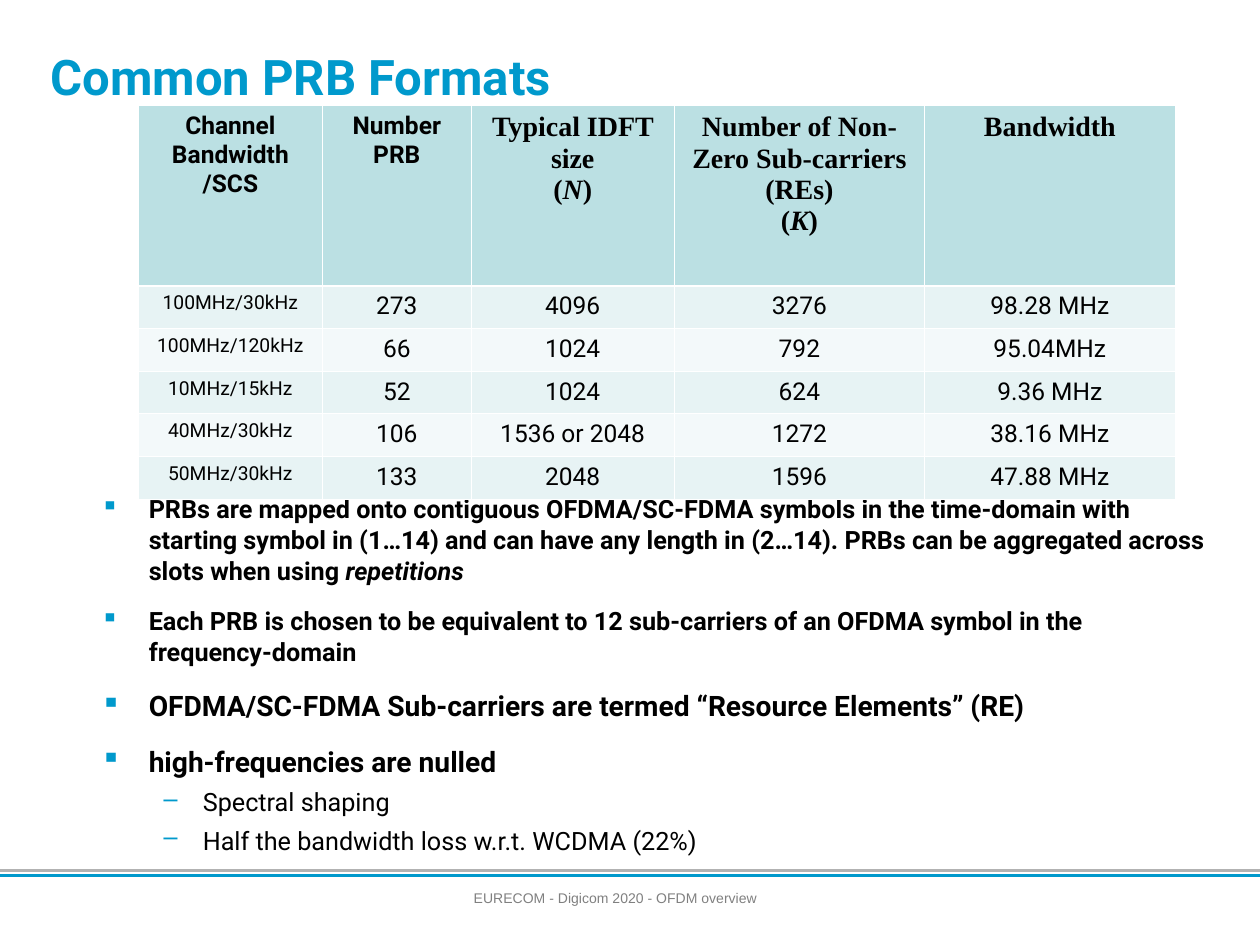
import pptx
import pptx.dml.color
import pptx.enum.shapes
import pptx.enum.text
import pptx.oxml
import pptx.oxml.ns
import pptx.util
from lxml import etree
from pptx.util import Cm

COLORS = {
    "accent": "0099CC", "rule": "B2B2B2", "footer": "808080", "text": "000000",
    "header": "BBE0E3", "odd": "E7F3F4", "even": "F3F9FA", "border": "FFFFFF",
}
ALIGN = pptx.enum.text.PP_ALIGN
ANCHOR = pptx.enum.text.MSO_ANCHOR

# Text between asterisks is italic
HEADERS = [
    ("Channel Bandwidth /SCS", "Roboto", 14),
    ("Number PRB", "Roboto", 14),
    ("Typical IDFT size\n(*N*)", "Times New Roman", 16),
    ("Number of Non-Zero Sub-carriers (REs)\n(*K*)", "Times New Roman", 16),
    ("Bandwidth", "Times New Roman", 16),
]
ROWS = [
    ("100MHz/30kHz", "273", "4096", "3276", "98.28 MHz"),
    ("100MHz/120kHz", "66", "1024", "792", "95.04MHz"),
    ("10MHz/15kHz", "52", "1024", "624", "9.36 MHz"),
    ("40MHz/30kHz", "106", "1536 or 2048", "1272", "38.16 MHz"),
    ("50MHz/30kHz", "133", "2048", "1596", "47.88 MHz"),
]
COLUMN_WIDTHS = [3.71, 3, 4.09, 5.05, 5.05]

TOP = dict(bullet="▪", margin=0.97, indent=-0.97, bold=True, spacing=1.03)
SUB = dict(bullet="–", margin=2.06, indent=-0.79, level=1, spacing=1.03, size=14.4)
POINTS = [
    ("PRBs are mapped onto contiguous OFDMA/SC-FDMA symbols in the time-domain with "
     "starting symbol in (1…14) and can have any length in (2…14). PRBs can be "
     "aggregated across slots when using *repetitions*", dict(TOP, size=14.4)),
    ("Each PRB is chosen to be equivalent to 12 sub-carriers of an OFDMA symbol in the "
     "frequency-domain", dict(TOP, size=14.4, before=10.6)),
    ("OFDMA/SC-FDMA Sub-carriers are termed “Resource Elements” (RE)",
     dict(TOP, size=16.1, before=11.9)),
    ("high-frequencies are nulled", dict(TOP, size=16.1, before=11.9)),
    ("Spectral shaping", dict(SUB, before=4.2)),
    ("Half the bandwidth loss w.r.t. WCDMA (22%)", dict(SUB, before=4.2)),
]


def rgb(name):
    return pptx.dml.color.RGBColor.from_string(COLORS[name])


def add_bullet(para, bullet, margin, indent):
    properties = para._p.get_or_add_pPr()
    properties.set("marL", str(Cm(margin)))
    properties.set("indent", str(Cm(indent)))
    color = etree.SubElement(properties, pptx.oxml.ns.qn("a:buClr"))
    etree.SubElement(color, pptx.oxml.ns.qn("a:srgbClr"), val=COLORS["accent"])
    etree.SubElement(properties, pptx.oxml.ns.qn("a:buChar"), char=bullet)


def write_text(frame, text, first=True, size=14, font="Roboto", color="text", bold=False,
               align=ALIGN.LEFT, before=0, spacing=None, level=0,
               bullet=None, margin=0, indent=0):
    """Write each line of text as one paragraph, with *italic* spans."""
    for number, line in enumerate(text.split("\n")):
        para = frame.paragraphs[0] if first and number == 0 else frame.add_paragraph()
        para.alignment = align
        para.level = level
        if bullet:
            add_bullet(para, bullet, margin, indent)
        para.space_before = pptx.util.Pt(before)
        if spacing:
            para.line_spacing = spacing
        for index, part in enumerate(line.split("*")):
            if not part:
                continue
            span = para.add_run()
            span.text = part
            span.font.size = pptx.util.Pt(size)
            span.font.name = font
            span.font.bold = bold
            span.font.italic = index % 2 == 1
            span.font.color.rgb = rgb(color)


def add_box(page, left, top, width, height, anchor=ANCHOR.MIDDLE, inset=(0.23, 0.12)):
    box = page.shapes.add_textbox(Cm(left), Cm(top), Cm(width), Cm(height))
    frame = box.text_frame
    frame.word_wrap = True
    frame.vertical_anchor = anchor
    frame.margin_left = frame.margin_right = Cm(inset[0])
    frame.margin_top = frame.margin_bottom = Cm(inset[1])
    return frame


def add_rule(page, top, color):
    line = page.shapes.add_connector(
        pptx.enum.shapes.MSO_CONNECTOR.STRAIGHT, 0, Cm(top), Cm(25.4), Cm(top))
    line.line.color.rgb = rgb(color)
    line.line.width = pptx.util.Pt(1.5)
    etree.SubElement(line._element.spPr, pptx.oxml.ns.qn("a:effectLst"))


def style_cell(cell, fill, top=0.45, bottom=0.45):
    properties = cell._tc.get_or_add_tcPr()
    for side, width in (("L", 0.45), ("R", 0.45), ("T", top), ("B", bottom)):
        edge = etree.SubElement(properties, pptx.oxml.ns.qn("a:ln" + side),
                                w=str(pptx.util.Pt(width)))
        solid = etree.SubElement(edge, pptx.oxml.ns.qn("a:solidFill"))
        etree.SubElement(solid, pptx.oxml.ns.qn("a:srgbClr"), val=COLORS["border"])
    cell.fill.solid()
    cell.fill.fore_color.rgb = rgb(fill)


def add_format_table(page):
    table = page.shapes.add_table(len(ROWS) + 1, len(HEADERS), Cm(2.79), Cm(2.13),
                                  Cm(sum(COLUMN_WIDTHS)), Cm(7.95)).table
    for column, width in zip(table.columns, COLUMN_WIDTHS):
        column.width = Cm(width)
    for number, row in enumerate(table.rows):
        row.height = Cm(0.86 if number else 3.63)

    for column, (text, font, size) in enumerate(HEADERS):
        cell = table.cell(0, column)
        style_cell(cell, "header", bottom=1.47)
        write_text(cell.text_frame, text, font=font, size=size, bold=True,
                   align=ALIGN.CENTER)
    for number, values in enumerate(ROWS, 1):
        for column, value in enumerate(values):
            cell = table.cell(number, column)
            style_cell(cell, "odd" if number % 2 else "even",
                       top=1.47 if number == 1 else 0.45)
            write_text(cell.text_frame, value, size=14 if column else 11,
                       align=ALIGN.CENTER)


def main():
    deck = pptx.Presentation()
    deck.slide_width, deck.slide_height = Cm(25.4), Cm(19.05)
    page = deck.slides.add_slide(deck.slide_layouts[6])

    # Footer rules
    add_rule(page, 17.55, "rule")
    add_rule(page, 17.65, "accent")

    # Title
    title = add_box(page, 0.79, 0.33, 23.9, 2.41)
    write_text(title, "Common PRB Formats", size=28, color="accent", bold=True)

    # Bullet points
    body = add_box(page, 1.8, 10.08, 22.81, 7.01)
    for number, (text, style) in enumerate(POINTS):
        write_text(body, text, first=number == 0, **style)

    # Footer
    footer = add_box(page, 5.36, 17.81, 14.1, 1.24, anchor=ANCHOR.TOP, inset=(0.25, 0.13))
    write_text(footer, "EURECOM - Digicom 2020 - OFDM overview", size=8, font="Arial",
               color="footer", align=ALIGN.CENTER)

    # Table of formats
    add_format_table(page)

    deck.save("out.pptx")


if __name__ == "__main__":
    main()
